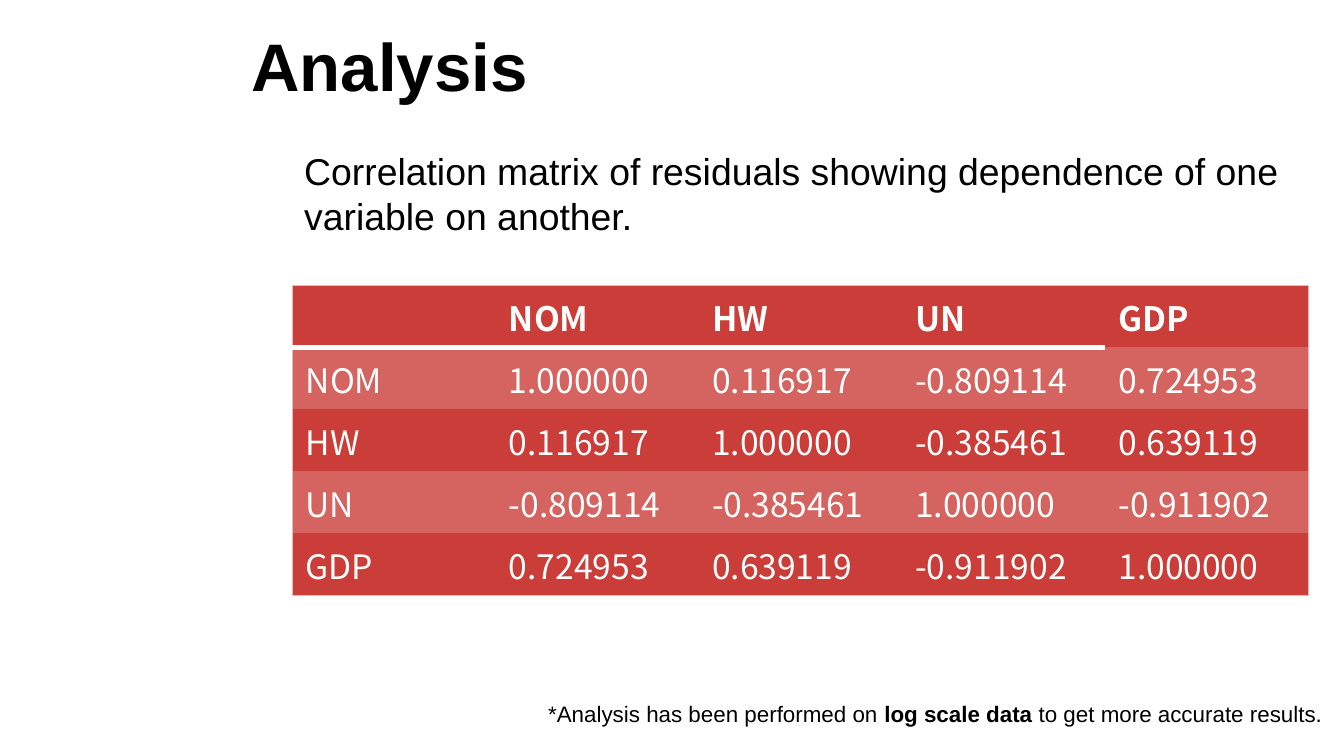
from lxml import etree
from pptx import Presentation
from pptx.dml.color import RGBColor
from pptx.enum.text import MSO_ANCHOR, PP_ALIGN
from pptx.oxml.ns import qn
from pptx.util import Inches, Pt

MIDDLE = MSO_ANCHOR.MIDDLE
LEFT = PP_ALIGN.LEFT
BLACK = RGBColor(0x00, 0x00, 0x00)
WHITE = RGBColor(0xFF, 0xFF, 0xFF)
RED = RGBColor(0xCB, 0x3D, 0x38)
LIGHT_RED = RGBColor(0xD5, 0x64, 0x60)
PINK = RGBColor(0xDE, 0xBD, 0xBD)
NO_STYLE = "{2D5ABB26-0587-4C30-8999-92F81FD0307C}"
WIDTH = 10
HEIGHT = WIDTH * 9 / 16

VARIABLES = ["NOM", "HW", "UN", "GDP"]
CORRELATIONS = [
    ["1.000000", "0.116917", "-0.809114", "0.724953"],
    ["0.116917", "1.000000", "-0.385461", "0.639119"],
    ["-0.809114", "-0.385461", "1.000000", "-0.911902"],
    ["0.724953", "0.639119", "-0.911902", "1.000000"],
]


def share(left, top, width, height):
    return [Inches(WIDTH * left / 100), Inches(HEIGHT * top / 100),
            Inches(WIDTH * width / 100), Inches(HEIGHT * height / 100)]


def add_run(p, text, color=BLACK, **formats):
    r = p.add_run()
    r.text = text
    r.font.color.rgb = color
    for name, value in formats.items():
        setattr(r.font, name, value)


def fill_text(sp, runs, size):
    tf = sp.text_frame
    for name, value in {"word_wrap": True, "vertical_anchor": MIDDLE}.items():
        setattr(tf, name, value)
    p = tf.paragraphs[0]
    p.alignment = LEFT
    for text, bold in runs:
        add_run(p, text, name="Arial", size=Pt(size), bold=bold)


def add_title(s, box, text):
    sp = s.shapes.title
    for name, value in zip(["left", "top", "width", "height"], box):
        setattr(sp, name, value)
    fill_text(sp, [(text, True)], 36)


def add_text(s, box, runs, size):
    fill_text(s.shapes.add_textbox(*box), runs, size)


def set_border(cell, side, color, width):
    pr = cell._tc.get_or_add_tcPr()
    ln = etree.SubElement(pr, qn(f"a:ln{side}"), w=str(Pt(width)))
    fill = etree.SubElement(ln, qn("a:solidFill"))
    etree.SubElement(fill, qn("a:srgbClr"), val=str(color))


def add_matrix(s, box, names, values):
    rows = [[""] + names] + [[name] + row for name, row in zip(names, values)]
    last = len(names)
    table = s.shapes.add_table(last + 1, last + 1, *box).table
    table._tbl.tblPr.find(qn("a:tableStyleId")).text = NO_STYLE
    for i, row in enumerate(rows):
        for j, text in enumerate(row):
            cell = table.cell(i, j)
            if j == 0:
                set_border(cell, "L", PINK, 0.75)
            if j == last:
                set_border(cell, "R", PINK, 0.75)
            if i == 0:
                set_border(cell, "T", PINK, 0.75)
            if i == 0 and j < last:
                set_border(cell, "B", WHITE, 3)
            if i == last:
                set_border(cell, "B", PINK, 0.75)
            cell.fill.solid()
            cell.fill.fore_color.rgb = LIGHT_RED if i % 2 else RED
            if text:
                add_run(cell.text_frame.paragraphs[0], text, WHITE,
                        name="Noto Sans CJK KR", size=Pt(18), bold=i == 0)


def main():
    prs = Presentation()
    prs.slide_width, prs.slide_height = Inches(WIDTH), Inches(HEIGHT)
    s = prs.slides.add_slide(prs.slide_layouts[5])
    add_title(s, share(17.7, 0, 82.3, 17.2), "Analysis")
    add_text(s, share(21.65, 19.2, 75.6, 12.6), [
        ("Correlation matrix of residuals showing dependence of one "
         "variable on another.", False)], 20)
    add_matrix(s, share(21.75, 37.76, 75.6, 41), VARIABLES, CORRELATIONS)
    add_text(s, share(39.8, 91, 60.2, 6.9), [
        ("*Analysis has been performed on ", False),
        ("log scale data ", True),
        ("to get more accurate results.", False)], 12)
    prs.save("out.pptx")


if __name__ == "__main__":
    main()
